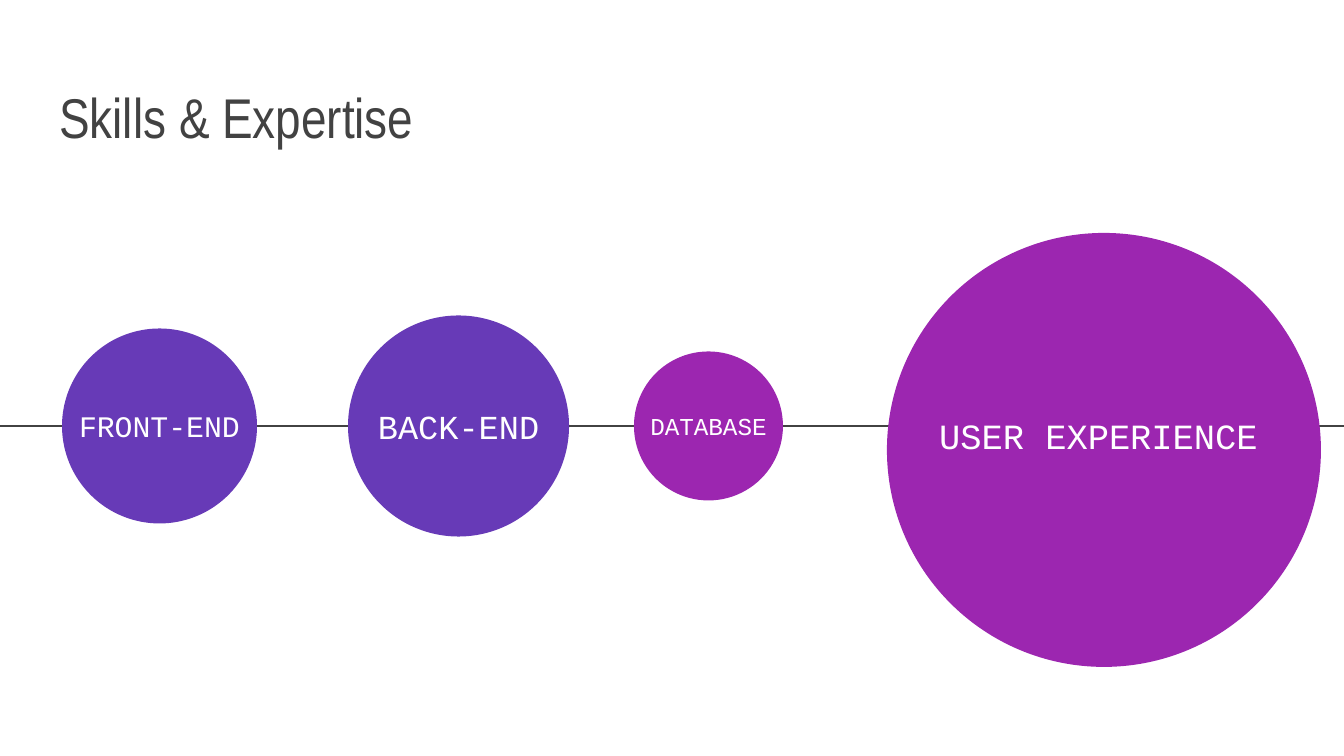
import pptx
import pptx.util
import pptx.dml.color
import pptx.enum.shapes
import pptx.enum.text
import pptx.oxml.ns
from lxml import etree

PX = 9144000 / 1344  # EMU per px
W, H = 1344, 756
AXIS_Y = 426
COLORS = {"ink": "424242", "violet": "673AB7", "purple": "9C26B0", "white": "FFFFFF"}
ALIGN = pptx.enum.text.PP_ALIGN
ANCHOR = pptx.enum.text.MSO_ANCHOR


def emu(*lengths):
    return [pptx.util.Emu(round(v * PX)) for v in lengths]


def rgb(name):
    return pptx.dml.color.RGBColor.from_string(COLORS[name])


def add_text(s, box, text, size, font, color, align, anchor):
    tf = s.shapes.add_textbox(*emu(*box)).text_frame
    tf.word_wrap = True
    tf.vertical_anchor = anchor
    tf.margin_left = tf.margin_right = pptx.util.Inches(0.1)
    tf.margin_top = tf.margin_bottom = pptx.util.Inches(0.1)
    tf.text = text
    p = tf.paragraphs[0]
    p.alignment = align
    f = p.runs[0].font
    f.size = pptx.util.Pt(size)
    f.name = font
    f.color.rgb = rgb(color)


def add_title(s, box, text):
    add_text(s, box, text, 30, "Arial Narrow", "ink", ALIGN.LEFT, ANCHOR.BOTTOM)


def add_axis(s, box):
    x, y, w, h = box
    line = s.shapes.add_connector(
        pptx.enum.shapes.MSO_CONNECTOR.STRAIGHT, *emu(x, y + h / 2, x + w, y + h / 2))
    line.line.color.rgb = rgb("ink")
    line.line.width = pptx.util.Pt(1.5)
    etree.SubElement(line._element.spPr, pptx.oxml.ns.qn("a:effectLst"))


def add_skill(s, box, color, text, size, label, align=ALIGN.CENTER, anchor=ANCHOR.MIDDLE):
    """Draw a disc in box; label is a box relative to the disc's corner."""
    x, y, w, h = box
    sp = s.shapes.add_shape(pptx.enum.shapes.MSO_SHAPE.OVAL, *emu(x, y, w, h))
    sp.shadow.inherit = False
    sp.fill.solid()
    sp.fill.fore_color.rgb = rgb(color)
    sp.line.fill.background()
    dx, dy, lw, lh = label
    add_text(s, (x + dx, y + dy, lw, lh), text, size, "Courier New", "white", align, anchor)


def add_skills(s, box):
    x, y, w, h = box
    mid = y + h // 2
    add_axis(s, box)

    # Discs centred on the axis: left, diameter, colour, text, size
    label_h = 88
    for left, d, color, text, size in (
        (62, 195, "violet", "FRONT-END", 16),
        (348, 221, "violet", "BACK-END", 18),
        (634, 149, "purple", "DATABASE", 13),
    ):
        label = (0, (d - label_h) / 2, d, label_h)
        add_skill(s, (x + left, mid - d / 2, d, d), color, text, size, label)

    # Main skill, hung lower than the axis
    add_skill(s, (x + 887, mid - 193, 434, 434), "purple", "USER EXPERIENCE", 19,
              (39, 168, 395, 70), ALIGN.LEFT, ANCHOR.TOP)


def main():
    prs = pptx.Presentation()
    prs.slide_width, prs.slide_height = emu(W, H)
    s = prs.slides.add_slide(prs.slide_layouts[6])
    add_title(s, (46, 55, 1252, 108), "Skills & Expertise")
    add_skills(s, (0, AXIS_Y - 217, W, 434))
    prs.save("out.pptx")


if __name__ == "__main__":
    main()
